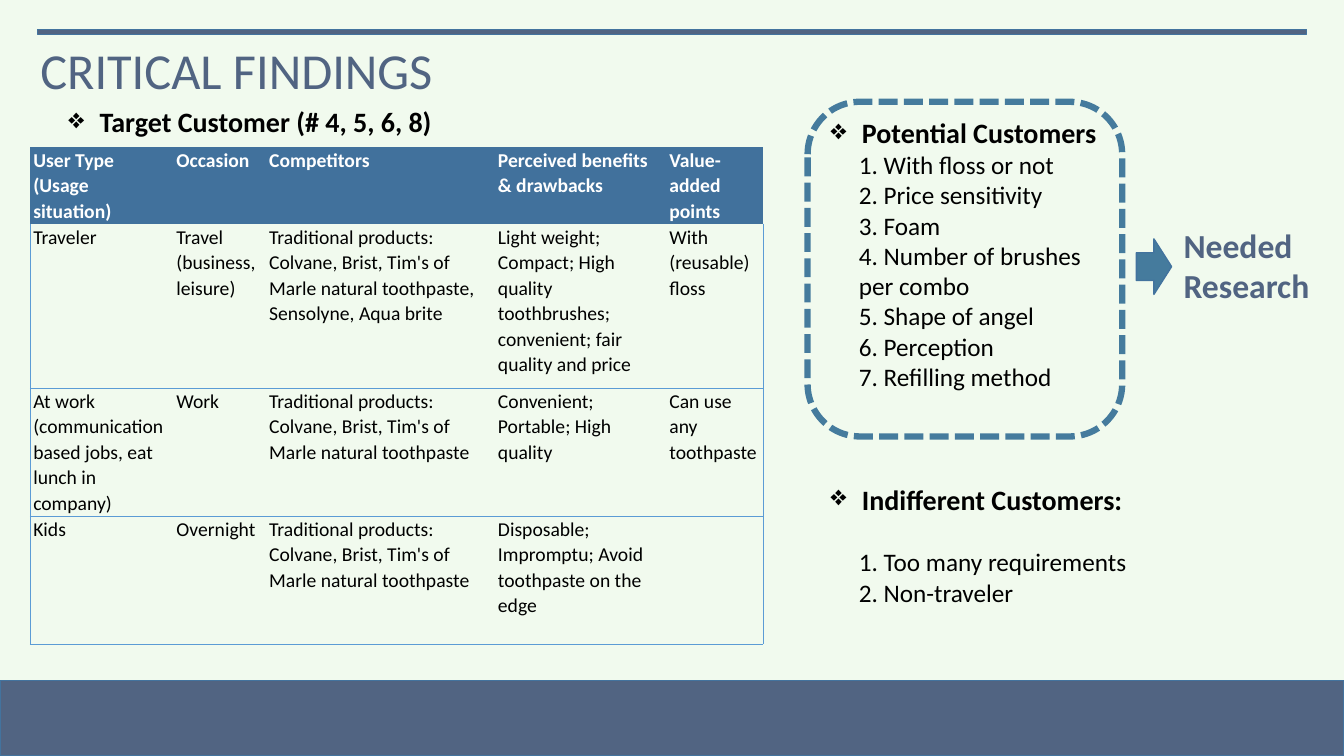
from dataclasses import dataclass
from lxml import etree
from pptx import Presentation
from pptx.dml.color import RGBColor
from pptx.enum.dml import MSO_LINE
from pptx.enum.shapes import MSO_SHAPE
from pptx.enum.text import MSO_ANCHOR, PP_ALIGN
from pptx.oxml import parse_xml
from pptx.oxml.ns import nsdecls, qn
from pptx.util import Inches, Pt


@dataclass(frozen=True)
class Theme:
    font: str = "Calibri"
    background: str = "F1FAEE"
    slate: str = "516482"
    outline: str = "43739E"
    header: str = "41719C"
    accent: str = "457B9D"
    border: str = "5B9BD5"
    white: str = "FFFFFF"
    black: str = "000000"
    title: int = 36
    callout: int = 24
    heading: int = 20
    body: int = 18
    cell: int = 14


theme = Theme()


def write(paragraph, text, size, color=theme.black, bold=False, bullet=False):
    run = paragraph.add_run()
    run.text = text
    run.font.name = theme.font
    run.font.size = Pt(size)
    run.font.bold = bold
    run.font.color.rgb = RGBColor.from_string(color)
    if bullet:
        props = paragraph._p.get_or_add_pPr()
        props.set("marL", str(Inches(0.31)))
        props.set("indent", str(-Inches(0.31)))
        etree.SubElement(props, qn("a:buChar")).set("char", "❖")


def add_block(kind, left, top, width, height, fill=None, line=theme.outline, weight=1):
    block = slide.shapes.add_shape(kind, Inches(left), Inches(top), Inches(width), Inches(height))
    block.shadow.inherit = False
    if fill:
        block.fill.solid()
        block.fill.fore_color.rgb = RGBColor.from_string(fill)
    else:
        block.fill.background()
    block.line.color.rgb = RGBColor.from_string(line)
    block.line.width = Pt(weight)
    return block


prs = Presentation()
prs.slide_width, prs.slide_height = Inches(13.33), Inches(7.5)
slide = prs.slides.add_slide(prs.slide_layouts[5])
slide.background.fill.solid()
slide.background.fill.fore_color.rgb = RGBColor.from_string(theme.background)

add_block(MSO_SHAPE.RECTANGLE, 0, 6.75, 13.33, 0.75, theme.slate)
add_block(MSO_SHAPE.RECTANGLE, 0.37, 0.29, 12.59, 0.05, theme.slate)

title = slide.shapes.title
title.left, title.top, title.width, title.height = Inches(0.3), Inches(0.14), Inches(12.25), Inches(1.18)
title.text_frame.vertical_anchor = MSO_ANCHOR.MIDDLE
heading = title.text_frame.paragraphs[0]
heading.alignment = PP_ALIGN.LEFT
heading.line_spacing = 0.9
write(heading, "CRITICAL FINDINGS", theme.title, theme.slate)

rivals = "Traditional products: Colvane, Brist, Tim's of Marle natural toothpaste"
findings = [
    ["User Type (Usage situation)", "Occasion", "Competitors", "Perceived benefits & drawbacks",
     "Value-added points"],
    ["Traveler", "Travel (business, leisure)", rivals + ", Sensolyne, Aqua brite",
     "Light weight; Compact; High quality toothbrushes; convenient; fair quality and price",
     "With (reusable) floss"],
    ["At work (communication based jobs, eat lunch in company)", "Work", rivals,
     "Convenient; Portable; High quality", "Can use any toothpaste"],
    ["Kids", "Overnight", rivals, "Disposable; Impromptu; Avoid toothpaste on the edge", ""],
]
column_widths = [1.42, 0.92, 2.27, 1.7, 0.96]
row_heights = [0.76, 1.63, 1.27, 1.27]
table = slide.shapes.add_table(len(findings), len(column_widths), Inches(0.3), Inches(1.46),
                               Inches(sum(column_widths)), Inches(sum(row_heights))).table
table.first_row = table.horz_banding = False
table._tbl.tblPr.find(qn("a:tableStyleId")).text = "{2D5ABB26-0587-4C30-8999-92F81FD0307C}"
for column, width in zip(table.columns, column_widths):
    column.width = Inches(width)
for row, height in zip(table.rows, row_heights):
    row.height = Inches(height)

for r, customer in enumerate(findings):
    for c, text in enumerate(customer):
        cell = table.cell(r, c)
        cell.margin_left = cell.margin_right = Inches(0.03)
        cell.margin_top = cell.margin_bottom = 0
        paragraph = cell.text_frame.paragraphs[0]
        paragraph.line_spacing = 1.07
        if text:
            write(paragraph, text, theme.cell, theme.black if r else theme.white, bold=r == 0)
        if r == 0:
            cell.fill.solid()
            cell.fill.fore_color.rgb = RGBColor.from_string(theme.header)
            continue
        cell.fill.background()
        edges = {"lnL": c == 0, "lnR": c == len(customer) - 1, "lnT": r > 1, "lnB": True}
        sides = [side for side, drawn in edges.items() if drawn]
        for position, side in enumerate(sides):
            cell._tc.get_or_add_tcPr().insert(position, parse_xml(
                f'<a:{side} {nsdecls("a")} w="{Pt(0.5)}"><a:solidFill>'
                f'<a:srgbClr val="{theme.border}"/></a:solidFill></a:{side}>'))

target = slide.shapes.add_textbox(Inches(0.58), Inches(0.99), Inches(5.66), Inches(0.44)).text_frame
target.word_wrap = True
write(target.paragraphs[0], "Target Customer (# 4, 5, 6, 8)", theme.heading, bold=True, bullet=True)

customer_groups = [
    ("Potential Customers", 0, 0,
     ["1. With floss or not", "2. Price sensitivity", "3. Foam", "4. Number of brushes", "per combo",
      "5. Shape of angel", "6. Perception", "7. Refilling method"]),
    ("Indifferent Customers:", 65, 22, ["1. Too many requirements", "2. Non-traveler"]),
]
customers = slide.shapes.add_textbox(Inches(8.14), Inches(1.1), Inches(4.37), Inches(5.02)).text_frame
customers.word_wrap = True
for name, gap_above, gap_below, traits in customer_groups:
    paragraph = customers.add_paragraph() if gap_above else customers.paragraphs[0]
    paragraph.space_before = Pt(gap_above)
    paragraph.space_after = Pt(gap_below)
    write(paragraph, name, theme.heading, bold=True, bullet=True)
    for trait in traits:
        paragraph = customers.add_paragraph()
        paragraph._p.get_or_add_pPr().set("marL", str(Inches(0.28)))
        write(paragraph, trait, theme.body)

potential_frame = add_block(MSO_SHAPE.ROUNDED_RECTANGLE, 8.01, 1.01, 3.12, 3.32,
                            line=theme.accent, weight=4.5)
potential_frame.line.dash_style = MSO_LINE.SQUARE_DOT

research = slide.shapes.add_textbox(Inches(11.64), Inches(2.18), Inches(1.55), Inches(0.91)).text_frame
research.word_wrap = True
write(research.paragraphs[0], "Needed Research", theme.callout, theme.slate, bold=True)
add_block(MSO_SHAPE.RIGHT_ARROW, 11.27, 2.37, 0.35, 0.55, theme.accent)

prs.save("out.pptx")
